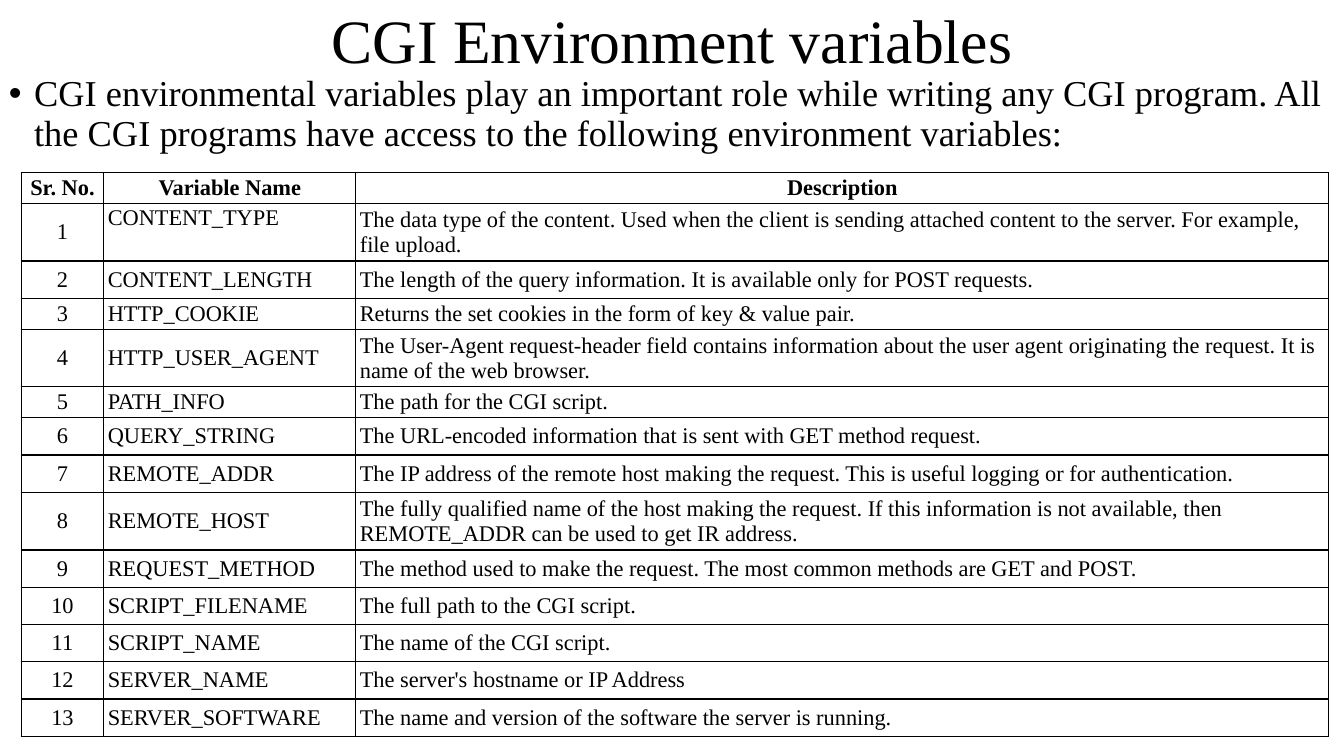
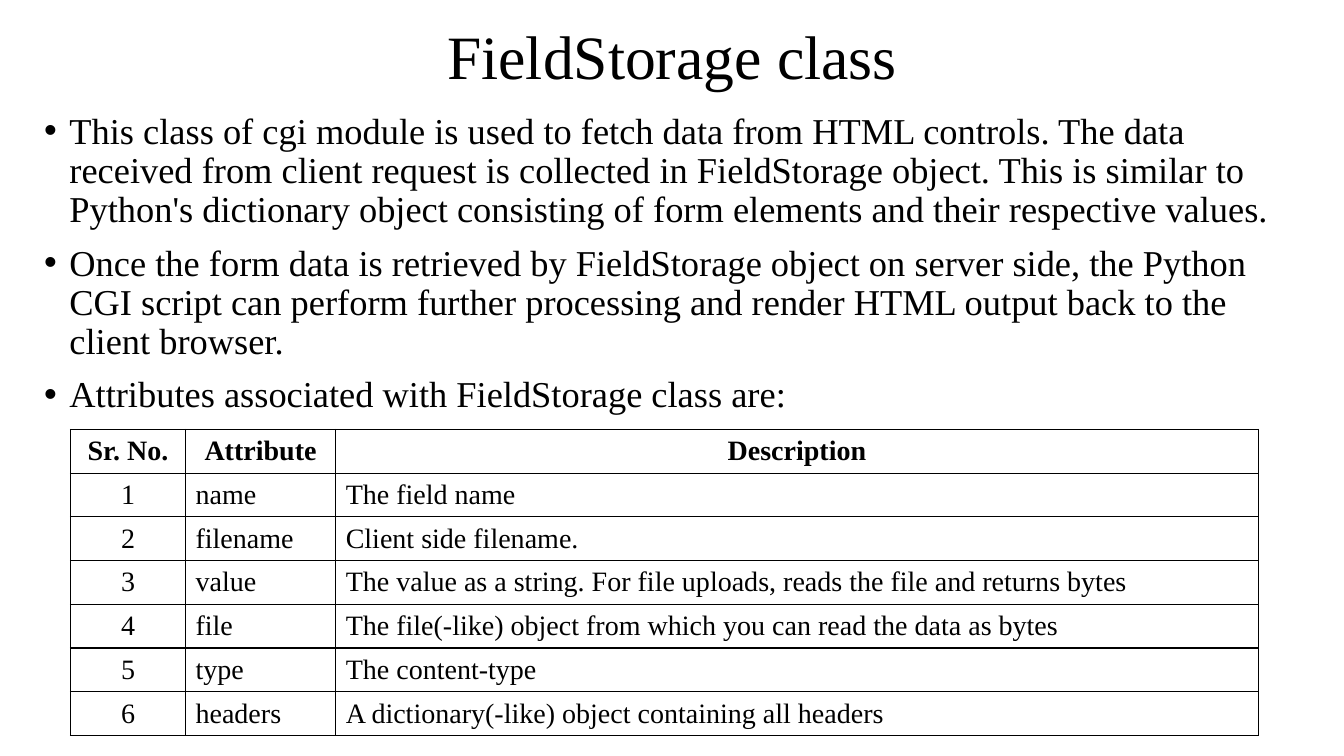
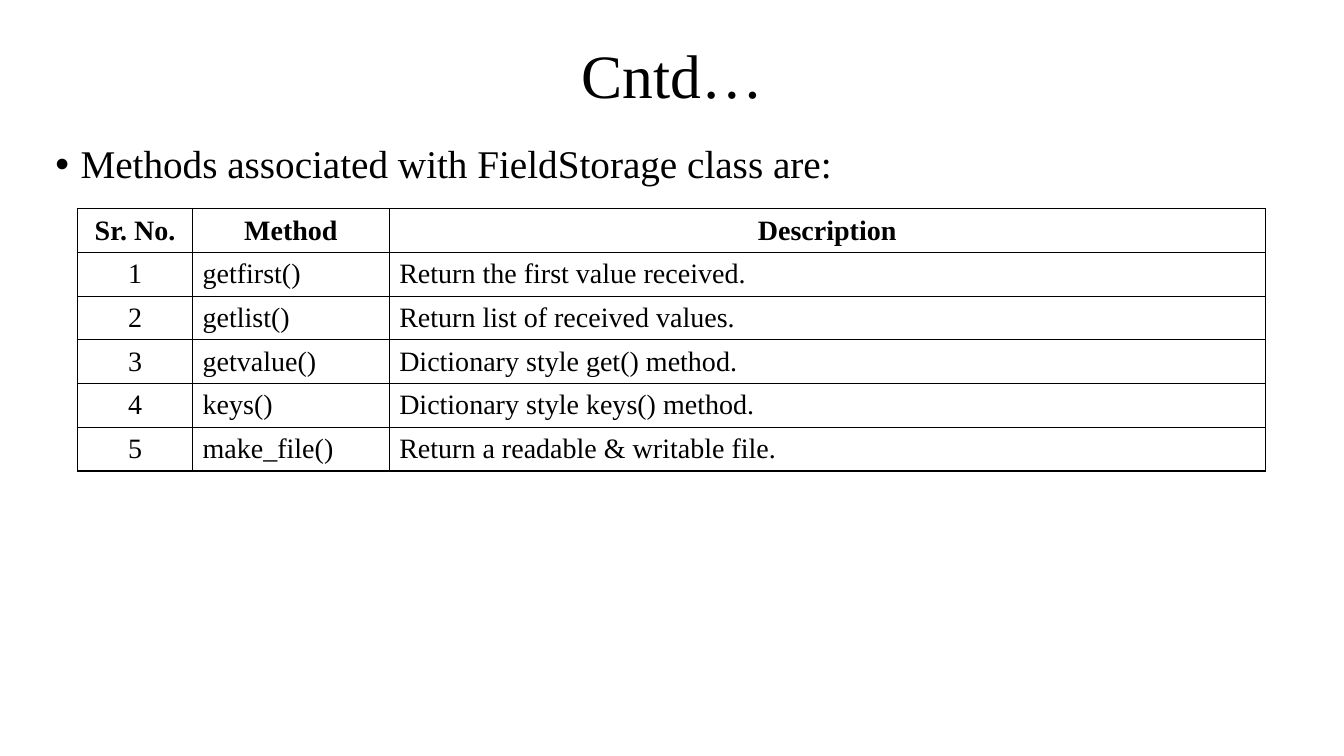
from dataclasses import dataclass

from lxml.etree import SubElement
from pptx import Presentation
from pptx.dml.color import RGBColor
from pptx.enum.text import MSO_ANCHOR, MSO_AUTO_SIZE, PP_ALIGN
from pptx.oxml.ns import qn
from pptx.slide import Slide
from pptx.table import _Cell
from pptx.text.text import _Paragraph
from pptx.util import Inches, Pt


@dataclass(frozen=True)
class Theme:
    font: str = "Times New Roman"
    ink: str = "000000"
    paper: str = "FFFFFF"
    title: int = 44
    border: float = 1


@dataclass(frozen=True)
class Box:
    left: float
    top: float
    width: float
    height: float

    def lengths(self) -> tuple:
        return tuple(map(Inches, (self.left, self.top, self.width, self.height)))


@dataclass(frozen=True)
class Grid:
    """A numbered table: the serial column is counted, not listed."""
    left: float
    top: float
    cols: tuple[float, ...]
    heights: tuple[float, ...]
    heads: tuple[str, str]
    rows: tuple[tuple[str, str], ...]
    size: int = 20
    inset: tuple[float, float] = (0.1, 0.05)
    raised: tuple[tuple[int, int], ...] = ()


@dataclass(frozen=True)
class Page:
    title: str
    head: Box
    body: Box
    size: int
    points: tuple[str, ...]
    grid: Grid


THEME = Theme()
LOW, MID, TALL = 0.28, 0.37, 0.53
ROW = 0.41

ENV_ROWS = (
    ("CONTENT_TYPE", "The data type of the content. Used when the client is sending "
     "attached content to the server. For example, file upload."),
    ("CONTENT_LENGTH", "The length of the query information. It is available only for "
     "POST requests."),
    ("HTTP_COOKIE", "Returns the set cookies in the form of key & value pair."),
    ("HTTP_USER_AGENT", "The User-Agent request-header field contains information about "
     "the user agent originating the request. It is name of the web browser."),
    ("PATH_INFO", "The path for the CGI script."),
    ("QUERY_STRING", "The URL-encoded information that is sent with GET method request."),
    ("REMOTE_ADDR", "The IP address of the remote host making the request. This is "
     "useful logging or for authentication."),
    ("REMOTE_HOST", "The fully qualified name of the host making the request. If this "
     "information is not available, then REMOTE_ADDR can be used to get IR address."),
    ("REQUEST_METHOD", "The method used to make the request. The most common methods "
     "are GET and POST."),
    ("SCRIPT_FILENAME", "The full path to the CGI script."),
    ("SCRIPT_NAME", "The name of the CGI script."),
    ("SERVER_NAME", "The server's hostname or IP Address"),
    ("SERVER_SOFTWARE", "The name and version of the software the server is running."),
)

FIELD_ROWS = (
    ("name", "The field name"),
    ("filename", "Client side filename."),
    ("value", "The value as a string. For file uploads, reads the file and returns bytes"),
    ("file", "The file(-like) object from which you can read the data as bytes"),
    ("type", "The content-type"),
    ("headers", "A dictionary(-like) object containing all headers"),
)

METHOD_ROWS = (
    ("getfirst()", "Return the first value received."),
    ("getlist()", "Return list of received values."),
    ("getvalue()", "Dictionary style get() method."),
    ("keys()", "Dictionary style keys() method."),
    ("make_file()", "Return a readable & writable file."),
)

PAGES = (
    Page(
        "CGI Environment variables",
        Box(0.92, 0, 11.5, 0.87), Box(-0.01, 0.7, 13.59, 6.4), 26,
        ("CGI environmental variables play an important role while writing any CGI "
         "program. All the CGI programs have access to the following environment "
         "variables:",),
        Grid(0.21, 1.71, (0.82, 2.5, 9.65),
             (LOW, TALL, MID, LOW, TALL, LOW, MID, MID, TALL) + (MID,) * 5,
             ("Variable Name", "Description"), ENV_ROWS,
             size=16, inset=(0.04, 0.02), raised=((1, 1),)),
    ),
    Page(
        "FieldStorage class",
        Box(0.92, 0.1, 11.5, 0.98), Box(0.34, 1.07, 12.65, 6.23), 26,
        ("This class of cgi module is used to fetch data from HTML controls. The data "
         "received from client request is collected in FieldStorage object. This is "
         "similar to Python's dictionary object consisting of form elements and their "
         "respective values.",
         "Once the form data is retrieved by FieldStorage object on server side, the "
         "Python CGI script can perform further processing and render HTML output back "
         "to the client browser.",
         "Attributes associated with FieldStorage class are:"),
        Grid(0.7, 4.26, (1.14, 1.49, 9.15), (ROW,) * 7,
             ("Attribute", "Description"), FIELD_ROWS),
    ),
    Page(
        "Cntd…",
        Box(0.92, 0.27, 11.5, 1.01), Box(0.45, 1.39, 12.42, 5.68), 28,
        ("Methods associated with FieldStorage class are:",),
        Grid(0.77, 2.07, (1.14, 1.95, 8.69), (ROW,) * 6,
             ("Method", "Description"), METHOD_ROWS),
    ),
)


def write(para: _Paragraph, text: str, size: int, bold: bool = False,
          align: PP_ALIGN = PP_ALIGN.LEFT) -> None:
    para.text = text
    para.alignment = align
    for run in para.runs:
        font = run.font
        font.name, font.size, font.bold = THEME.font, Pt(size), bold
        font.color.rgb = RGBColor.from_string(THEME.ink)


def add_title(slide: Slide, text: str, box: Box) -> None:
    title = slide.shapes.title
    title.left, title.top, title.width, title.height = box.lengths()
    frame = title.text_frame
    frame.auto_size = MSO_AUTO_SIZE.NONE
    frame.vertical_anchor = MSO_ANCHOR.MIDDLE
    para = frame.paragraphs[0]
    write(para, text, THEME.title, align=PP_ALIGN.CENTER)
    para.line_spacing = 0.9


def add_points(slide: Slide, points: tuple[str, ...], box: Box, size: int) -> None:
    frame = slide.shapes.add_textbox(*box.lengths()).text_frame
    frame.word_wrap = True
    frame.text = "\n".join(points)
    for para, text in zip(frame.paragraphs, points):
        write(para, text, size)
        para.line_spacing = 0.9
        para.space_before = Pt(10)
        props = para._p.get_or_add_pPr()
        props.set("marL", str(Inches(0.25)))
        props.set("indent", str(Inches(-0.25)))
        SubElement(props, qn("a:buFont"), typeface="Arial")
        SubElement(props, qn("a:buChar"), char="•")


def frame_cell(cell: _Cell) -> None:
    """Draw the four borders and leave the cell unfilled."""
    props = cell._tc.get_or_add_tcPr()
    for side in ("lnL", "lnR", "lnT", "lnB"):
        line = SubElement(props, qn(f"a:{side}"), w=str(Pt(THEME.border)))
        fill = SubElement(line, qn("a:solidFill"))
        SubElement(fill, qn("a:srgbClr"), val=THEME.ink)
    cell.fill.background()


def add_grid(slide: Slide, grid: Grid) -> None:
    lines = [("Sr. No.", *grid.heads)]
    lines += [(str(num), *row) for num, row in enumerate(grid.rows, 1)]
    box = Box(grid.left, grid.top, sum(grid.cols), sum(grid.heights))
    table = slide.shapes.add_table(len(lines), len(grid.cols), *box.lengths()).table
    table.first_row = table.horz_banding = False
    for col, width in zip(table.columns, grid.cols):
        col.width = Inches(width)
    for row, height in zip(table.rows, grid.heights):
        row.height = Inches(height)
    side, edge = map(Inches, grid.inset)
    for r, line in enumerate(lines):
        for c, text in enumerate(line):
            cell = table.cell(r, c)
            cell.margin_left = cell.margin_right = side
            cell.margin_top = cell.margin_bottom = edge
            top = (r, c) in grid.raised
            cell.vertical_anchor = MSO_ANCHOR.TOP if top else MSO_ANCHOR.MIDDLE
            mid = r == 0 or c == 0
            write(cell.text_frame.paragraphs[0], text, grid.size, bold=r == 0,
                  align=PP_ALIGN.CENTER if mid else PP_ALIGN.LEFT)
            frame_cell(cell)


def main() -> None:
    deck = Presentation()
    deck.slide_width, deck.slide_height = Inches(13.33), Inches(7.5)
    back = deck.slide_master.background.fill
    back.solid()
    back.fore_color.rgb = RGBColor.from_string(THEME.paper)
    layout = deck.slide_layouts.get_by_name("Title Only")
    for page in PAGES:
        slide = deck.slides.add_slide(layout)
        add_title(slide, page.title, page.head)
        add_points(slide, page.points, page.body, page.size)
        add_grid(slide, page.grid)
    deck.save("out.pptx")


if __name__ == "__main__":
    main()
